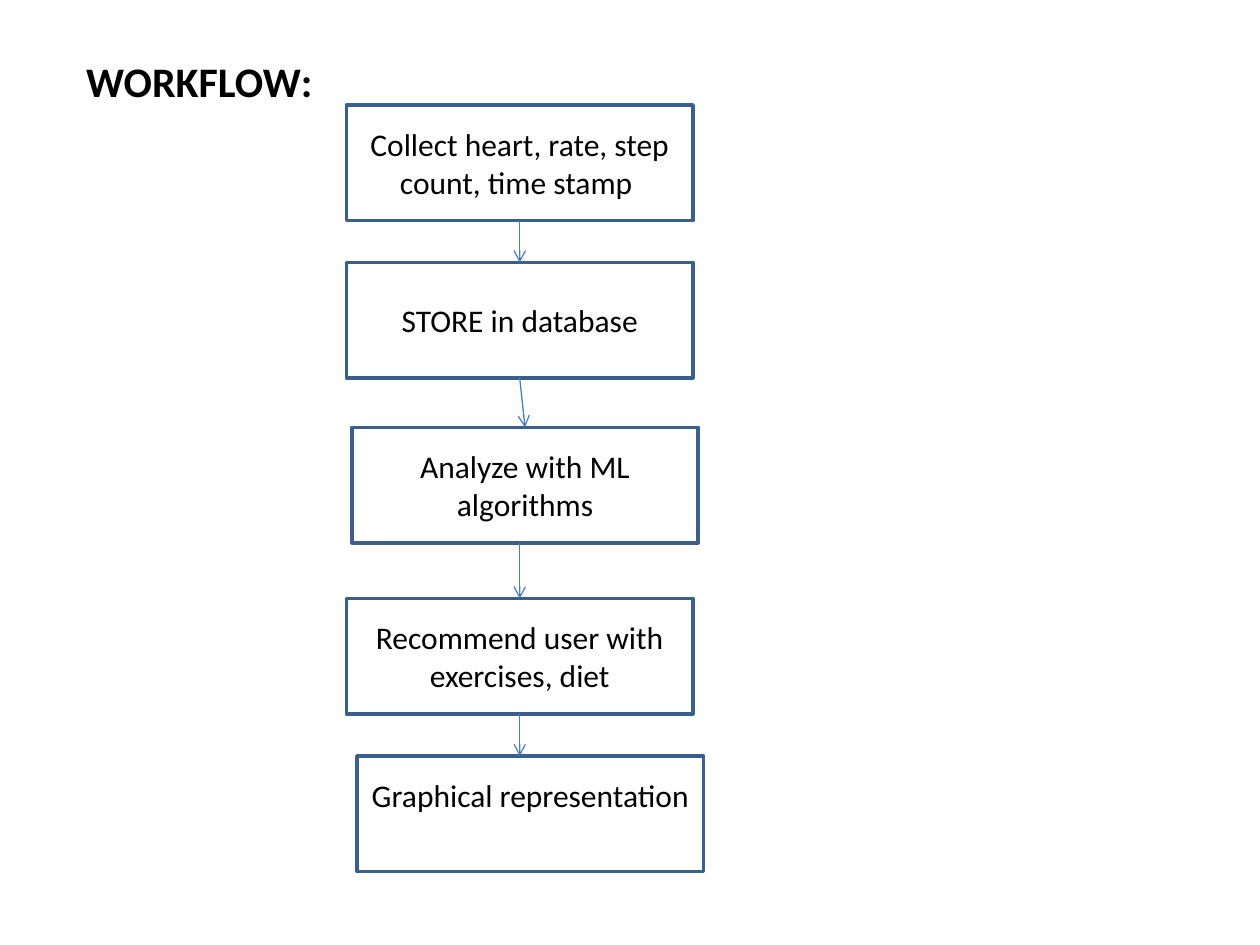
from dataclasses import dataclass

from lxml import etree
from pptx import Presentation
from pptx.dml.color import RGBColor
from pptx.enum.shapes import MSO_CONNECTOR, MSO_SHAPE
from pptx.enum.text import MSO_ANCHOR, MSO_AUTO_SIZE, PP_ALIGN
from pptx.oxml.ns import qn
from pptx.util import Inches, Pt

RECTANGLE = MSO_SHAPE.RECTANGLE
STRAIGHT = MSO_CONNECTOR.STRAIGHT
TOP, MIDDLE = MSO_ANCHOR.TOP, MSO_ANCHOR.MIDDLE
LEFT, CENTER = PP_ALIGN.LEFT, PP_ALIGN.CENTER
NO_AUTOFIT = MSO_AUTO_SIZE.NONE

TITLE_ONLY = 5
UNIT = Inches(1) / 12
STEP_COLUMNS, STEP_ROWS = 33, 11
AXIS_COLUMN = 49.5


@dataclass(frozen=True)
class Theme:
    """Colours, font and type sizes of the slide."""
    paper: RGBColor = RGBColor(0xFF, 0xFF, 0xFF)
    ink: RGBColor = RGBColor(0, 0, 0)
    border: RGBColor = RGBColor(0x3A, 0x5F, 0x8C)
    arrow: RGBColor = RGBColor(0x4B, 0x7E, 0xBC)
    font: str = "Calibri"
    title_size: int = 24
    step_size: int = 18
    border_width: float = 2
    arrow_width: float = 0.75


@dataclass(frozen=True)
class Step:
    """One workflow step, placed on the grid."""
    label: str
    row: float
    shift: float = 0
    arrow_shift: float = 0
    lift: float = 0


THEME = Theme()
STEPS = (
    Step("Collect heart, rate, step count, time stamp ", 10),
    Step("STORE in database", 25),
    Step("Analyze with ML algorithms", 40.7, shift=0.5, arrow_shift=0.5),
    Step("Recommend user with exercises, diet", 57),
    Step("Graphical representation", 72, shift=1, lift=3.6),
)


def grid(*counts):
    """Turn counts of grid units into slide lengths."""
    return [round(count * UNIT) for count in counts]


def write(frame, wording, size, align, anchor, bold=False):
    """Put one formatted run into a text frame."""
    frame.word_wrap = True
    frame.auto_size = NO_AUTOFIT
    frame.vertical_anchor = anchor
    paragraph = frame.paragraphs[0]
    paragraph.alignment = align
    run = paragraph.add_run()
    run.text = wording
    run.font.name = THEME.font
    run.font.size = Pt(size)
    run.font.bold = bold
    run.font.color.rgb = THEME.ink


def add_title(slide, wording):
    """Move and format the title placeholder."""
    title = slide.shapes.title
    title.left, title.top, title.width, title.height = grid(7, 4.7, 26, 6)
    write(title.text_frame, wording, THEME.title_size, LEFT, TOP, bold=True)


def add_step(slide, step):
    """Draw the box of one workflow step."""
    left = AXIS_COLUMN - STEP_COLUMNS / 2 + step.shift
    box = slide.shapes.add_shape(
        RECTANGLE, *grid(left, step.row, STEP_COLUMNS, STEP_ROWS))
    box.shadow.inherit = False
    box.fill.solid()
    box.fill.fore_color.rgb = THEME.paper
    box.line.color.rgb = THEME.border
    box.line.width = Pt(THEME.border_width)
    write(box.text_frame, step.label, THEME.step_size, CENTER, MIDDLE)
    box.text_frame.margin_bottom += grid(step.lift)[0]


def add_arrow(slide, source, target):
    """Draw an open arrow from one step down to the next."""
    arrow = slide.shapes.add_connector(STRAIGHT, *grid(
        AXIS_COLUMN, source.row + STEP_ROWS,
        AXIS_COLUMN + target.arrow_shift, target.row))
    arrow.line.color.rgb = THEME.arrow
    arrow.line.width = Pt(THEME.arrow_width)
    properties = arrow.element.spPr
    etree.SubElement(properties.find(qn("a:ln")), qn("a:tailEnd"), type="arrow")
    etree.SubElement(properties, qn("a:effectLst"))


def main():
    """Build and save the workflow slide."""
    deck = Presentation()
    deck.slide_width, deck.slide_height = grid(120, 90)
    slide = deck.slides.add_slide(deck.slide_layouts[TITLE_ONLY])
    add_title(slide, "WORKFLOW:")
    for step in STEPS:
        add_step(slide, step)
    for source, target in zip(STEPS, STEPS[1:]):
        add_arrow(slide, source, target)
    deck.save("out.pptx")


main()
